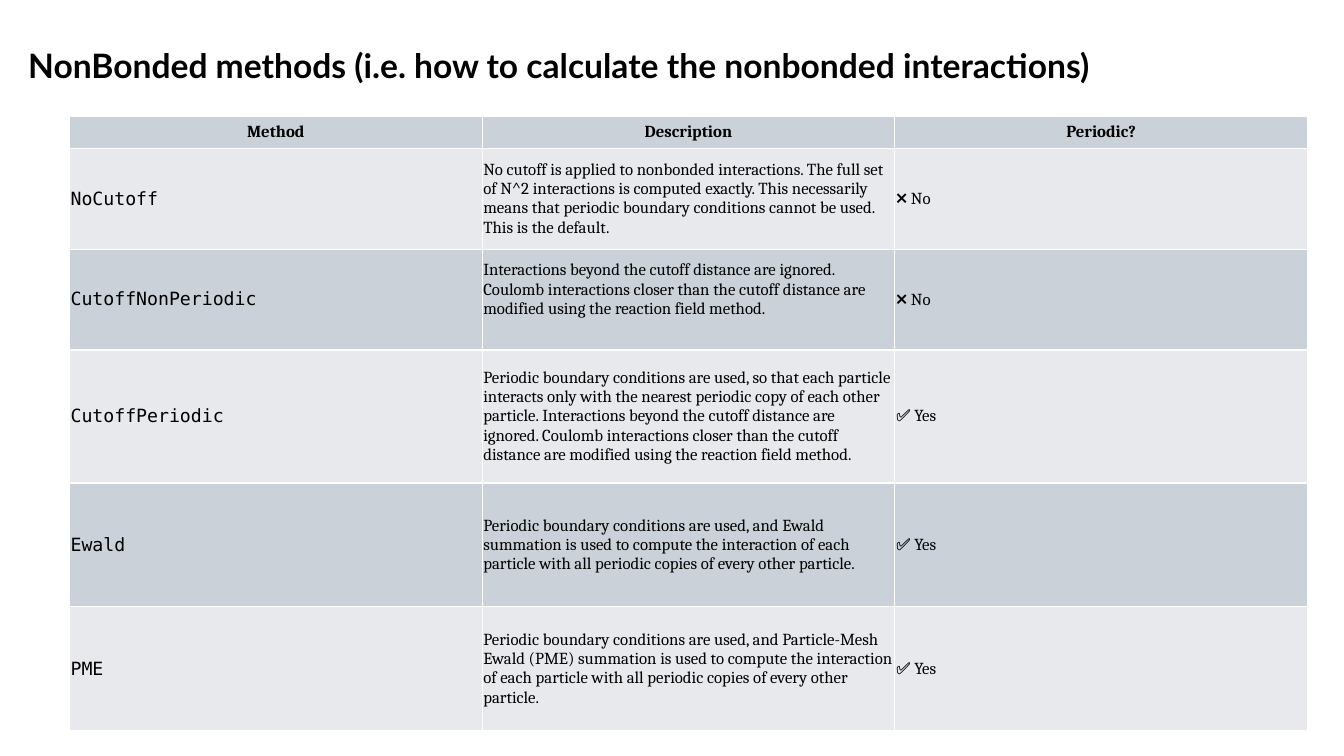
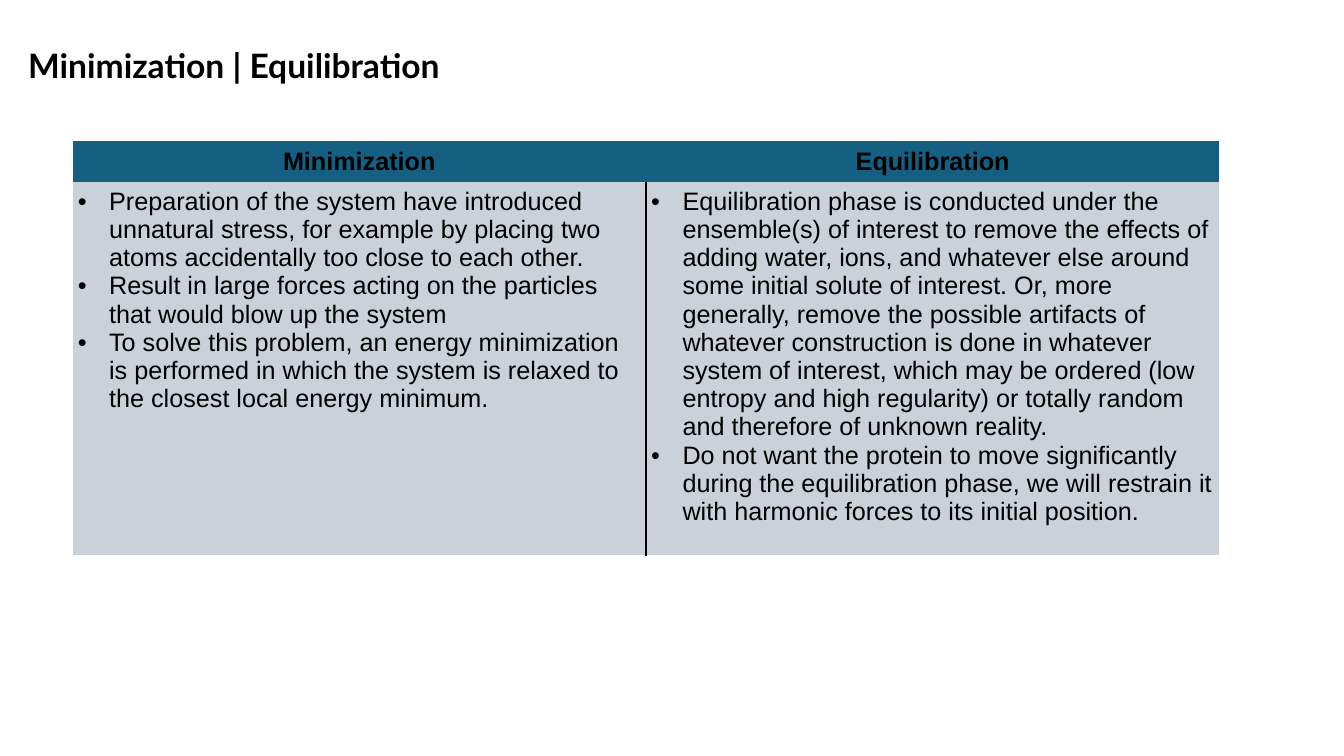
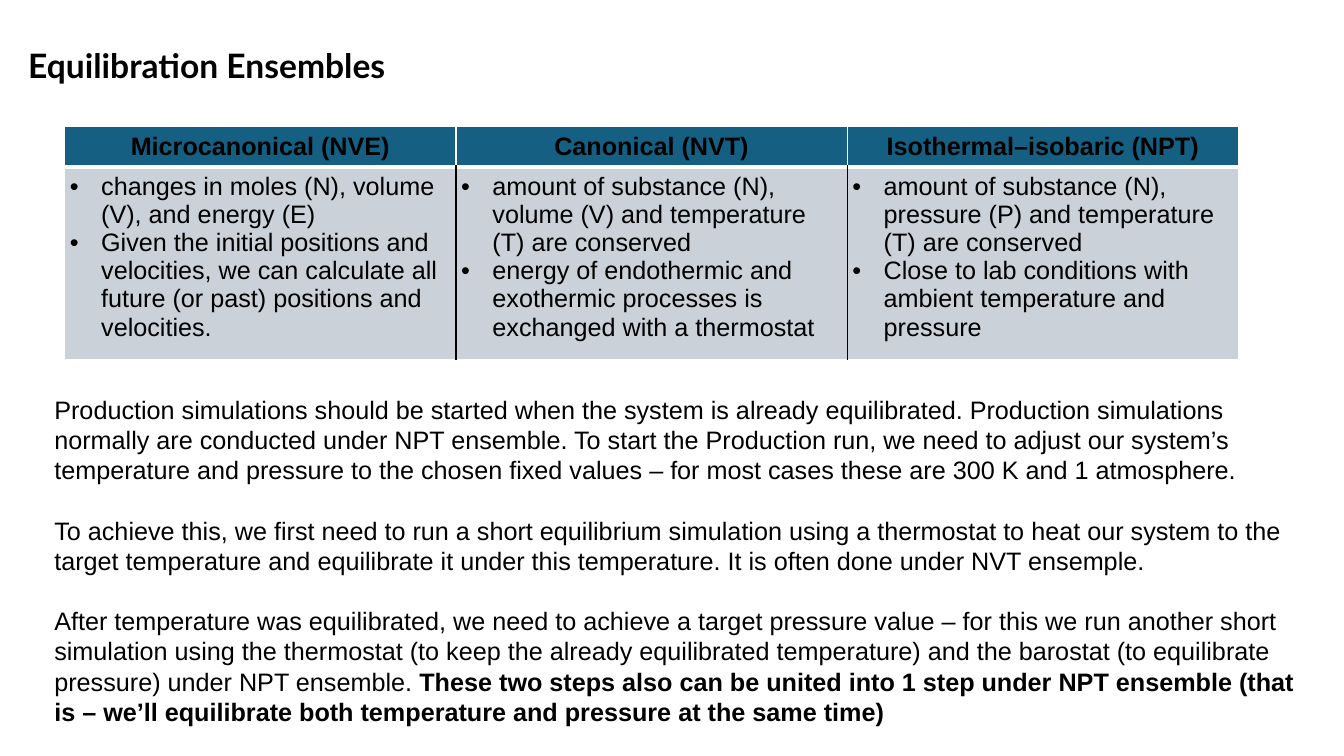
from dataclasses import dataclass, field
from typing import NamedTuple

from lxml import etree
from pptx import Presentation
from pptx.dml.color import RGBColor
from pptx.enum.text import MSO_ANCHOR, PP_ALIGN
from pptx.oxml.ns import qn
from pptx.util import Cm, Pt

CENTER = PP_ALIGN.CENTER
LEFT = PP_ALIGN.LEFT
MIDDLE = MSO_ANCHOR.MIDDLE
TOP = MSO_ANCHOR.TOP

BLACK = RGBColor(0x00, 0x00, 0x00)
WHITE = RGBColor(0xFF, 0xFF, 0xFF)
TEAL = RGBColor(0x15, 0x60, 0x82)
GREY = RGBColor(0xCA, 0xD1, 0xD8)
PALE = RGBColor(0xE7, 0xE9, 0xEC)

PLAIN_STYLE = "{2D5ABB26-0587-4C30-8999-92F81FD0307C}"
INDENT = Cm(0.79)
PAD = 0.13
THIN_PAD = 0.03
LINE_GAP = 0.5
SIDES = {"left": "a:lnL", "right": "a:lnR", "top": "a:lnT", "bottom": "a:lnB"}


class Edge(NamedTuple):
    color: RGBColor
    width: float


LIGHT = Edge(WHITE, 1)
THICK = Edge(WHITE, 3)
DARK = Edge(BLACK, 1)


class Para(NamedTuple):
    text: str
    strong: str = ""


@dataclass
class Look:
    font: dict
    para: dict = field(default_factory=lambda: {"alignment": LEFT})
    bullet: bool = False
    gap: float = 0


@dataclass
class Cell:
    paras: list[Para]
    look: Look
    fill: RGBColor
    edges: dict[str, Edge]
    anchor: MSO_ANCHOR = MIDDLE
    pad: float = PAD
    foot: float = 0


@dataclass
class Grid:
    left: float
    top: float
    width: float
    heights: list[float]
    rows: list[list[Cell]]


TITLE = Look({"name": "Lato", "size": Pt(24), "bold": True},
             {"alignment": LEFT, "line_spacing": 0.9})
HEAD = Look({"name": "Arial", "size": Pt(18), "bold": True}, {"alignment": CENTER})
BULLET = Look({"name": "Arial", "size": Pt(18), "bold": False}, bullet=True)
BODY = Look({"name": "Arial", "size": Pt(18), "bold": False}, gap=21.5)
LABEL = Look({"name": "Cambria", "size": Pt(12), "bold": True}, {"alignment": CENTER})
PROSE = Look({"name": "Cambria", "size": Pt(12), "bold": False})
CODE = Look({"name": "DejaVu Sans Mono", "size": Pt(13), "bold": False})


def set_all(target, values: dict) -> None:
    for name, value in values.items():
        setattr(target, name, value)


def add_color(parent, color: RGBColor) -> None:
    etree.SubElement(parent, qn("a:srgbClr"), val=str(color))


def add_bullet(para) -> None:
    props = para._p.get_or_add_pPr()
    props.set("marL", str(INDENT))
    props.set("indent", str(-INDENT))
    add_color(etree.SubElement(props, qn("a:buClr")), BLACK)
    etree.SubElement(props, qn("a:buFont"), typeface="Arial")
    etree.SubElement(props, qn("a:buChar"), char="•")


def write(frame, paras: list[Para], look: Look) -> None:
    for index, item in enumerate(paras):
        para = frame.add_paragraph() if index else frame.paragraphs[0]
        if look.bullet:
            add_bullet(para)
        set_all(para, look.para)
        if index and look.gap:
            para.space_before = Pt(look.gap)
        for text, extra in ((item.text, {}), (item.strong, {"bold": True})):
            if text:
                run = para.add_run()
                run.text = text
                set_all(run.font, look.font | extra)
                run.font.color.rgb = BLACK


def add_text(slide, place: tuple, paras: list[Para], look: Look,
             anchor: MSO_ANCHOR = TOP) -> None:
    box = slide.shapes.add_textbox(*map(Cm, place))
    frame = box.text_frame
    set_all(frame, {"word_wrap": True, "vertical_anchor": anchor,
                    "margin_left": Cm(PAD), "margin_right": Cm(PAD),
                    "margin_top": Cm(PAD), "margin_bottom": Cm(PAD)})
    write(frame, paras, look)


def add_slide(deck, title: str):
    slide = deck.slides.add_slide(deck.slide_layouts[6])
    add_text(slide, (0.58, 0.84, 34.32, 1.73), [Para(title)], TITLE, MIDDLE)
    return slide


def add_edges(cell, edges: dict[str, Edge]) -> None:
    props = cell._tc.get_or_add_tcPr()
    for side, tag in SIDES.items():
        if side in edges:
            edge = edges[side]
            line = etree.SubElement(props, qn(tag), w=str(Pt(edge.width)))
            add_color(etree.SubElement(line, qn("a:solidFill")), edge.color)


def draw_cell(cell, item: Cell) -> None:
    pad = Cm(item.pad)
    set_all(cell, {"margin_left": pad, "margin_right": pad, "margin_top": pad,
                   "margin_bottom": Cm(item.pad + item.foot),
                   "vertical_anchor": item.anchor})
    add_edges(cell, item.edges)
    cell.fill.solid()
    cell.fill.fore_color.rgb = item.fill
    write(cell.text_frame, item.paras, item.look)


def draw_grid(slide, grid: Grid) -> None:
    count = len(grid.rows[0])
    shape = slide.shapes.add_table(
        len(grid.rows), count, Cm(grid.left), Cm(grid.top),
        Cm(grid.width * count), Cm(sum(grid.heights)))
    table = shape.table
    set_all(table, {"first_row": False, "horz_banding": False})
    next(shape._element.iter(qn("a:tableStyleId"))).text = PLAIN_STYLE
    for column in table.columns:
        column.width = Cm(grid.width)
    for r, (height, row) in enumerate(zip(grid.heights, grid.rows)):
        table.rows[r].height = Cm(height)
        for c, item in enumerate(row):
            draw_cell(table.cell(r, c), item)


def method_rows(heads: list[str], methods: list[tuple]) -> list[list[Cell]]:
    """Banded rows: a label row, then code, prose and answer."""
    edges = dict.fromkeys(SIDES, LIGHT)
    rows = [[Cell([Para(head)], LABEL, GREY, edges, pad=THIN_PAD) for head in heads]]
    for index, (name, about, answer, foot) in enumerate(methods):
        fill = GREY if index % 2 else PALE
        rows.append([
            Cell([Para(name)], CODE, fill, edges, pad=THIN_PAD),
            Cell([Para(about)], PROSE, fill, edges, pad=THIN_PAD, foot=foot),
            Cell([Para(answer)], PROSE, fill, edges, pad=THIN_PAD),
        ])
    return rows


def topic_rows(topics: dict[str, list[str]], head_edges: dict[str, Edge],
               body_edges: dict[str, Edge]) -> list[list[Cell]]:
    """A header row over bullet lists, parted by dark upright lines."""
    last = len(topics) - 1
    heads, lists = [], []
    for index, (head, points) in enumerate(topics.items()):
        heads.append(Cell([Para(head)], HEAD, TEAL, head_edges))
        edges = body_edges | {
            "left": DARK if index else LIGHT,
            "right": DARK if index < last else LIGHT,
            "bottom": LIGHT,
        }
        lists.append(Cell([Para(point) for point in points], BULLET, GREY, edges, TOP))
    return [heads, lists]


NO = "❌ No"
YES = "✅ Yes"
METHODS = [
    ("NoCutoff",
     "No cutoff is applied to nonbonded interactions. The full set of N^2 interactions "
     "is computed exactly. This necessarily means that periodic boundary conditions "
     "cannot be used. This is the default.", NO, 0),
    ("CutoffNonPeriodic",
     "Interactions beyond the cutoff distance are ignored. Coulomb interactions closer "
     "than the cutoff distance are modified using the reaction field method.",
     NO, LINE_GAP),
    ("CutoffPeriodic",
     "Periodic boundary conditions are used, so that each particle interacts only with "
     "the nearest periodic copy of each other particle. Interactions beyond the cutoff "
     "distance are ignored. Coulomb interactions closer than the cutoff distance are "
     "modified using the reaction field method.", YES, 0),
    ("Ewald",
     "Periodic boundary conditions are used, and Ewald summation is used to compute the "
     "interaction of each particle with all periodic copies of every other particle.",
     YES, 0),
    ("PME",
     "Periodic boundary conditions are used, and Particle-Mesh Ewald (PME) summation is "
     "used to compute the interaction of each particle with all periodic copies of every "
     "other particle.", YES, 0),
]

PHASES = {
    "Minimization": [
        "Preparation of the system have introduced unnatural stress, for example by "
        "placing two atoms accidentally too close to each other.",
        "Result in large forces acting on the particles that would blow up the system",
        "To solve this problem, an energy minimization is performed in which the system "
        "is relaxed to the closest local energy minimum.",
    ],
    "Equilibration": [
        "Equilibration phase is conducted under the ensemble(s) of interest to remove the "
        "effects of adding water, ions, and whatever else around some initial solute of "
        "interest. Or, more generally, remove the possible artifacts of whatever "
        "construction is done in whatever system of interest, which may be ordered (low "
        "entropy and high regularity) or totally random and therefore of unknown reality.",
        "Do not want the protein to move signiﬁcantly during the equilibration phase, we "
        "will restrain it with harmonic forces to its initial position.",
    ],
}

ENSEMBLES = {
    "Microcanonical (NVE)": [
        "changes in moles (N), volume (V), and energy (E)",
        "Given the initial positions and velocities, we can calculate all future (or "
        "past) positions and velocities.",
    ],
    "Canonical (NVT)": [
        "amount of substance (N), volume (V) and temperature (T) are conserved",
        "energy of endothermic and exothermic processes is exchanged with a thermostat",
    ],
    "Isothermal–isobaric (NPT)": [
        "amount of substance (N), pressure (P) and temperature (T) are conserved",
        "Close to lab conditions with ambient temperature and pressure",
    ],
}

STEPS = [
    Para("Production simulations should be started when the system is already "
         "equilibrated. Production simulations normally are conducted under NPT ensemble. "
         "To start the Production run, we need to adjust our system’s temperature and "
         "pressure to the chosen fixed values – for most cases these are 300 K and 1 "
         "atmosphere."),
    Para("To achieve this, we first need to run a short equilibrium simulation using a "
         "thermostat to heat our system to the target temperature and equilibrate it "
         "under this temperature. It is often done under NVT ensemple."),
    Para("After temperature was equilibrated, we need to achieve a target pressure value "
         "– for this we run another short simulation using the thermostat (to keep the "
         "already equilibrated temperature) and the barostat (to equilibrate pressure) "
         "under NPT ensemble. ",
         "These two steps also can be united into 1 step under NPT ensemble (that is – "
         "we’ll equilibrate both temperature and pressure at the same time)"),
]


def main() -> None:
    deck = Presentation()
    set_all(deck, {"slide_width": Cm(33.87), "slide_height": Cm(19.05)})

    slide = add_slide(
        deck, "NonBonded methods (i.e. how to calculate the nonbonded interactions)")
    rows = method_rows(["Method", "Description", "Periodic?"], METHODS)
    draw_grid(slide, Grid(1.75, 2.93, 10.4, [0.81, 2.54, 2.54, 3.35, 3.12, 3.12], rows))

    slide = add_slide(deck, "Minimization | Equilibration")
    rows = topic_rows(PHASES, {}, {})
    draw_grid(slide, Grid(1.83, 3.56, 14.45, [1.03, 8.76], rows))

    slide = add_slide(deck, "Equilibration Ensembles")
    add_text(slide, (1.24, 9.8, 32.05, 8.38), STEPS, BODY)
    rows = topic_rows(ENSEMBLES, dict.fromkeys(SIDES, LIGHT) | {"bottom": THICK},
                      {"top": THICK})
    draw_grid(slide, Grid(1.63, 3.18, 9.86, [1.03, 4.84], rows))

    deck.save("out.pptx")


if __name__ == "__main__":
    main()
